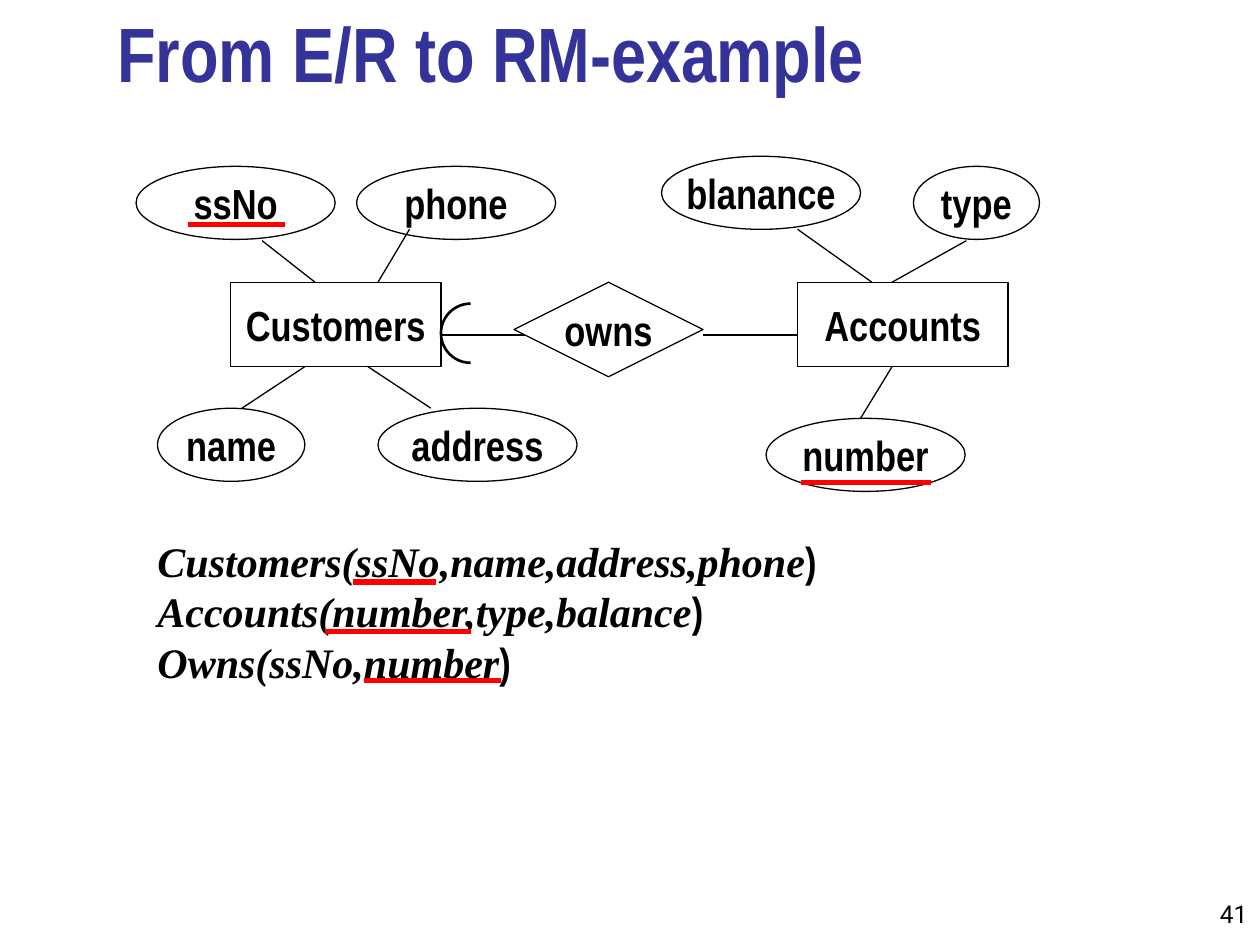
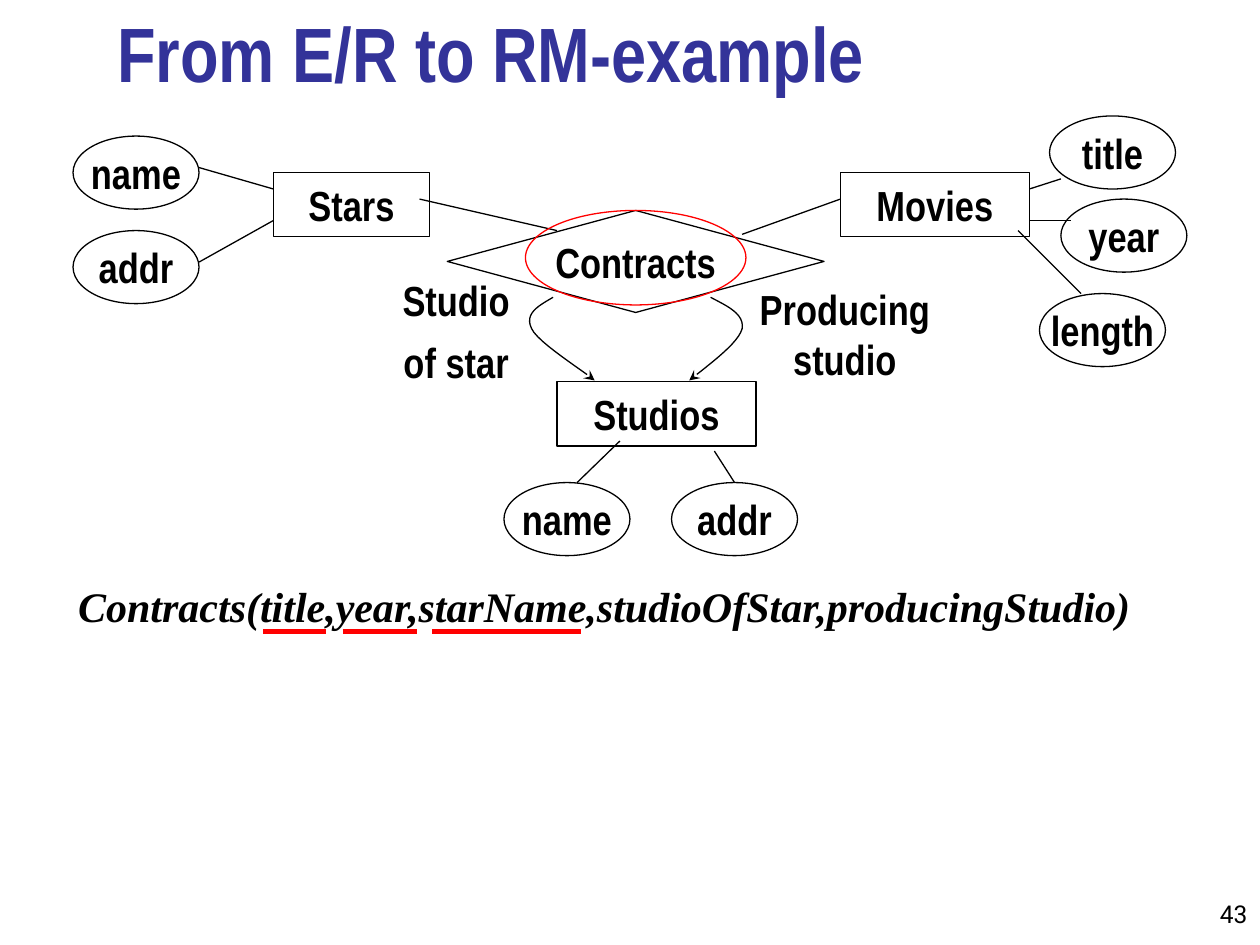
from lxml.etree import SubElement
from pptx import Presentation
from pptx.dml.color import RGBColor
from pptx.enum.shapes import MSO_CONNECTOR, MSO_SHAPE
from pptx.enum.text import MSO_ANCHOR, MSO_AUTO_SIZE, PP_ALIGN
from pptx.oxml.ns import qn
from pptx.util import Inches, Pt

BLACK = RGBColor(0x00, 0x00, 0x00)
RED = RGBColor(0xFF, 0x00, 0x00)
NAVY = RGBColor(0x33, 0x33, 0x99)
SANS, SERIF, PLAIN = "Arial Narrow", "Times New Roman", "Roboto"
OVAL_H = 0.58
CURVE_STEPS = 12


def style(para, name=SANS, size=24, color=BLACK, bold=True, italic=False):
    font = para.font
    font.name, font.size = name, Pt(size)
    font.bold, font.italic = bold, italic
    font.color.rgb = color


def add_page(deck, number):
    """Add a slide with the shared title and its page number."""
    slide = deck.slides.add_slide(deck.slide_layouts[5])
    title = slide.shapes.title
    title.left, title.top = Inches(0.83), Inches(0.08)
    title.width, title.height = Inches(8.52), Inches(0.75)
    frame = title.text_frame
    frame.text = "From E/R to RM-example"
    frame.auto_size = MSO_AUTO_SIZE.NONE
    frame.vertical_anchor = MSO_ANCHOR.BOTTOM
    frame.paragraphs[0].alignment = PP_ALIGN.LEFT
    style(frame.paragraphs[0], size=44, color=NAVY)

    frame = add_box(slide, 9.33, 6.92, 0.67, 0.5, inset=0.1)
    frame.vertical_anchor = MSO_ANCHOR.BOTTOM
    para = frame.paragraphs[0]
    para.text = str(number)
    para.alignment = PP_ALIGN.RIGHT
    style(para, PLAIN, 14, bold=False)
    return slide


def add_box(slide, x, y, w, h, inset=0):
    frame = slide.shapes.add_textbox(*map(Inches, (x, y, w, h))).text_frame
    frame.word_wrap = True
    frame.margin_left = frame.margin_right = Inches(inset)
    frame.margin_top = frame.margin_bottom = Inches(inset / 2)
    return frame


def add_label(slide, lines, x, y, w, h, spacing=1.0):
    """Add centred text beside a role arrow."""
    frame = add_box(slide, x, y, w, h)
    frame.text = "\n".join(lines)
    for i, para in enumerate(frame.paragraphs):
        para.alignment = PP_ALIGN.CENTER
        para.line_spacing = spacing
        if i:
            para.space_before = Pt(12)
        style(para)


def add_schema(slide, rows, x, y, w, h):
    """Write relation schemas, each row a pair of italic text and upright end."""
    frame = add_box(slide, x, y, w, h)
    for i, (text, end) in enumerate(rows):
        para = frame.add_paragraph() if i else frame.paragraphs[0]
        para.add_run().text = text
        style(para, SERIF, italic=True)
        if end:
            run = para.add_run()
            run.text = end
            run.font.name, run.font.italic = SANS, False


def outline(shape, color=BLACK, width=0.75):
    shape.shadow.inherit = False
    shape.fill.background()
    shape.line.color.rgb = color
    shape.line.width = Pt(width)


def add_node(slide, kind, text, x, y, w, h, color=BLACK):
    shape = slide.shapes.add_shape(kind, *map(Inches, (x, y, w, h)))
    outline(shape, color)
    if text:
        frame = shape.text_frame
        frame.text = text
        frame.word_wrap = False
        frame.vertical_anchor = MSO_ANCHOR.MIDDLE
        frame.paragraphs[0].alignment = PP_ALIGN.CENTER
        style(frame.paragraphs[0])


def add_ovals(slide, ovals):
    for text, x, y, w in ovals:
        add_node(slide, MSO_SHAPE.OVAL, text, x, y, w, OVAL_H)


def add_boxes(slide, boxes, h):
    for text, x, y, w in boxes:
        add_node(slide, MSO_SHAPE.RECTANGLE, text, x, y, w, h)


def add_links(slide, links, color=BLACK, width=0.75):
    for ends in links:
        line = slide.shapes.add_connector(MSO_CONNECTOR.STRAIGHT, *map(Inches, ends))
        line.line.color.rgb = color
        line.line.width = Pt(width)
        SubElement(line._element.spPr, qn("a:effectLst"))


def add_keys(slide, keys):
    """Underline key attributes in red, each given as left, right, height."""
    add_links(slide, [(x1, y, x2, y) for x1, x2, y in keys], RED, 3)


def bezier(p0, p1, p2, p3):
    for i in range(1, CURVE_STEPS + 1):
        t = i / CURVE_STEPS
        u = 1 - t
        yield tuple(
            Inches(u**3 * a + 3 * u * u * t * b + 3 * u * t * t * c + t**3 * d)
            for a, b, c, d in zip(p0, p1, p2, p3)
        )


def add_curve(slide, start, *parts):
    """Draw joined Bezier curves that end in an arrowhead."""
    pen = slide.shapes.build_freeform(*map(Inches, start))
    for part in parts:
        pen.add_line_segments(list(bezier(start, *part)), close=False)
        start = part[-1]
    curve = pen.convert_to_shape()
    outline(curve)
    SubElement(curve.line._get_or_add_ln(), qn("a:tailEnd"), type="stealth")


def add_arc(slide, x, y, size):
    """Draw the left half of a circle, which marks the 'one' side."""
    arc = slide.shapes.add_shape(MSO_SHAPE.ARC, *map(Inches, (x, y, size, size)))
    arc.adjustments[0], arc.adjustments[1] = 54, 162
    outline(arc, width=1.5)


def draw_bank(deck):
    slide = add_page(deck, 41)
    add_schema(slide, [
        ("Customers(ssNo,name,address,phone", ")"),
        ("Accounts(number,type,balance", ")"),
        ("Owns(ssNo,number", ")"),
    ], 1.25, 4.25, 7, 1.2)
    add_boxes(slide, [("Customers", 1.83, 2.24, 1.67),
                      ("Accounts", 6.33, 2.24, 1.67)], 0.67)
    add_node(slide, MSO_SHAPE.DIAMOND, "owns", 4.08, 2.24, 1.5, 0.75)
    add_ovals(slide, [
        ("ssNo", 1.08, 1.32, 1.58), ("phone", 2.83, 1.32, 1.58),
        ("name", 1.25, 3.24, 1.17), ("address", 3, 3.24, 1.58),
        ("blanance", 5.25, 1.24, 1.58), ("type", 7.25, 1.32, 1),
        ("number", 6.08, 3.32, 1.58),
    ])
    add_links(slide, [
        (4.17, 2.66, 3.5, 2.66), (5.58, 2.66, 6.33, 2.66),
        (2.5, 2.24, 2.08, 1.91), (3, 2.24, 3.25, 1.82),
        (2.42, 2.91, 1.92, 3.24), (2.92, 2.91, 3.42, 3.24),
        (6.33, 1.82, 6.92, 2.24), (7.67, 1.91, 7.08, 2.24),
        (7.08, 2.91, 6.83, 3.32),
    ])
    add_arc(slide, 3.5, 2.41, 0.47)
    add_keys(slide, [
        (1.49, 2.26, 1.78), (6.36, 7.39, 3.83),
        (2.8, 3.46, 4.62), (2.58, 3.74, 5.01), (2.89, 3.98, 5.4),
    ])


def draw_film(deck):
    slide = add_page(deck, 43)
    schema = "Contracts(title,year,starName,studioOfStar,producingStudio)"
    add_schema(slide, [(schema, "")], 0.62, 4.61, 9.18, 0.4)
    add_boxes(slide, [("Stars", 2.17, 1.37, 1.24), ("Movies", 6.67, 1.37, 1.5),
                      ("Studios", 4.42, 3.03, 1.58)], 0.51)
    add_node(slide, MSO_SHAPE.DIAMOND, "Contracts", 3.55, 1.67, 2.99, 0.81)
    add_curve(slide, (4.39, 2.36),
              [(4.27, 2.43), (4.16, 2.49), (4.22, 2.61)],
              [(4.27, 2.72), (4.64, 2.95), (4.72, 3.02)])
    add_curve(slide, (5.64, 2.36),
              [(5.77, 2.43), (5.91, 2.49), (5.89, 2.61)],
              [(5.86, 2.72), (5.66, 2.87), (5.47, 3.02)])
    add_label(slide, ["Studio", "of star"], 3.08, 2.26, 1.08, 0.84, 0.8)
    add_label(slide, ["Producing studio"], 5.83, 2.25, 1.75, 0.8)
    add_ovals(slide, [
        ("name", 0.58, 1.08, 1), ("addr", 0.58, 1.83, 1),
        ("title", 8.33, 0.92, 1), ("year", 8.42, 1.58, 1),
        ("length", 8.25, 2.33, 1),
        ("name", 4, 3.83, 1), ("addr", 5.33, 3.83, 1),
    ])
    add_links(slide, [
        (3.33, 1.58, 4.42, 1.83), (5.89, 1.86, 6.67, 1.58),
        (1.58, 1.33, 2.17, 1.5), (1.58, 2.08, 2.17, 1.75),
        (8.42, 1.42, 8.17, 1.5), (8.17, 1.75, 8.5, 1.75),
        (8.08, 1.83, 8.58, 2.33),
        (4.92, 3.5, 4.58, 3.83), (5.67, 3.58, 5.83, 3.83),
    ])
    add_node(slide, MSO_SHAPE.OVAL, "", 4.17, 1.67, 1.75, 0.75, RED)
    add_keys(slide, [(2.09, 2.59, 5.01), (2.72, 3.31, 5.01), (3.43, 4.61, 5.01)])


def main():
    deck = Presentation()
    deck.slide_width, deck.slide_height = Inches(10), Inches(7.5)
    draw_bank(deck)
    draw_film(deck)
    deck.save("out.pptx")


if __name__ == "__main__":
    main()
